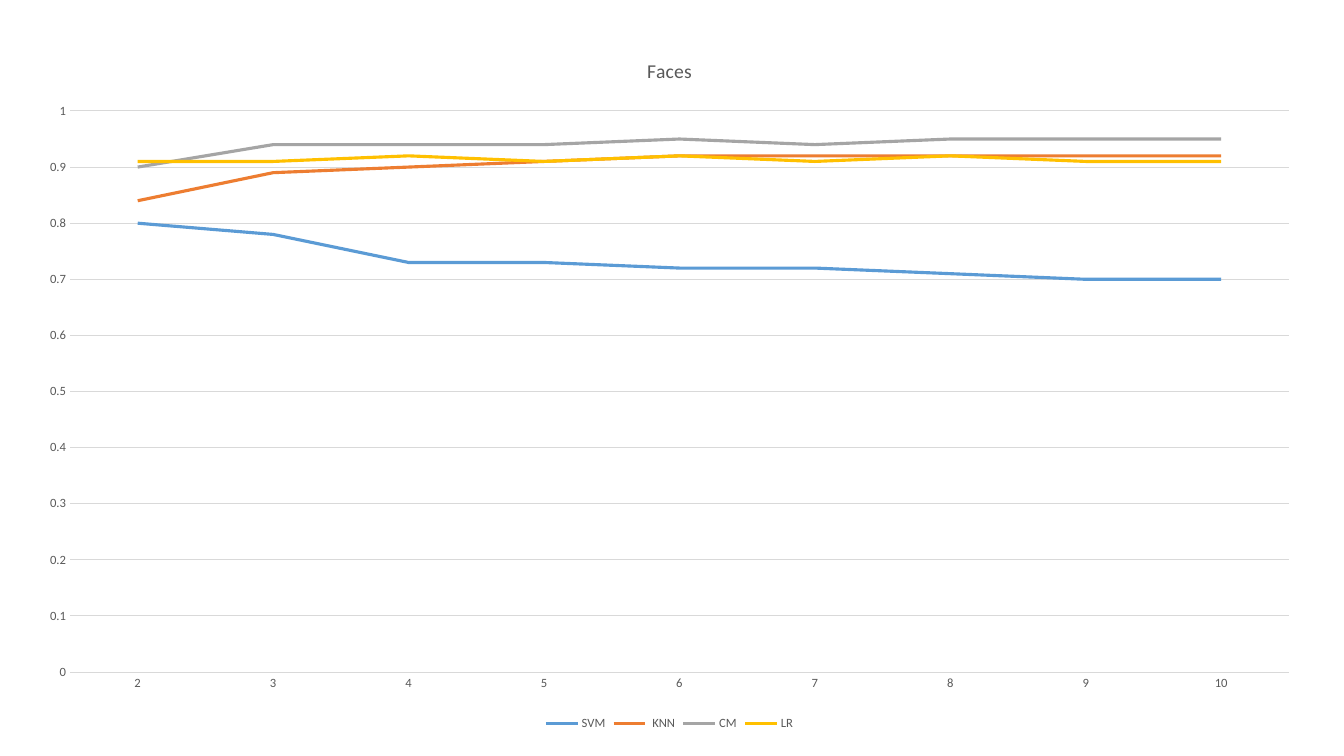
from pptx import Presentation
from pptx import util as u
from pptx.chart import data as cd
from pptx.dml.color import RGBColor
from pptx.enum import chart as ch

GREY = RGBColor(0x59, 0x59, 0x59)
GRID = RGBColor(0xD9, 0xD9, 0xD9)
BLUE = RGBColor(0x5B, 0x9B, 0xD5)
ORANGE = RGBColor(0xED, 0x7D, 0x31)
SILVER = RGBColor(0xA5, 0xA5, 0xA5)
GOLD = RGBColor(0xFF, 0xC0, 0x00)

FOLDS = [str(n) for n in range(2, 11)]
CLASSIFIERS = [
    ("SVM", BLUE, [0.8, 0.78, 0.73, 0.73, 0.72, 0.72, 0.71, 0.7, 0.7]),
    (" KNN", ORANGE, [0.84, 0.89, 0.9, 0.91, 0.92, 0.92, 0.92, 0.92, 0.92]),
    ("CM", SILVER, [0.9, 0.94, 0.94, 0.94, 0.95, 0.94, 0.95, 0.95, 0.95]),
    ("LR", GOLD, [0.91, 0.91, 0.92, 0.91, 0.92, 0.91, 0.92, 0.91, 0.91]),
]


def set_font(font, size=9, color=GREY, name="Calibri"):
    """Format a font."""
    font.size, font.name, font.bold = u.Pt(size), name, False
    font.color.rgb = color


def set_line(line, color, width):
    """Format a line with a colour and a width in points."""
    line.color.rgb = color
    line.width = u.Pt(width)


def add_text(tf, text, **fmt):
    """Write one formatted run into a text frame."""
    r = tf.paragraphs[0].add_run()
    r.text = text
    set_font(r.font, **fmt)


def style_axes(chart):
    """Format both axes and the gridlines."""
    cat, val = chart.category_axis, chart.value_axis
    for axis in (cat, val):
        axis.major_tick_mark = axis.minor_tick_mark = ch.XL_TICK_MARK.NONE
        set_font(axis.tick_labels.font)
    set_line(cat.format.line, GRID, 0.75)
    val.format.line.fill.background()
    val.minimum_scale, val.maximum_scale, val.major_unit = 0, 1, 0.1
    val.has_major_gridlines = True
    set_line(val.major_gridlines.format.line, GRID, 0.75)


def add_accuracy_chart(s, x, y, w, h):
    """Draw the classifier line chart in the given box."""
    data = cd.CategoryChartData(number_format="General")
    data.categories = FOLDS
    for name, _, values in CLASSIFIERS:
        data.add_series(name, values)
    chart = s.shapes.add_chart(ch.XL_CHART_TYPE.LINE, x, y, w, h, data).chart
    set_font(chart.font, size=10)
    chart.has_title = True
    add_text(chart.chart_title.text_frame, "Faces", size=14)
    chart.chart_title.include_in_layout = False
    chart.has_legend = True
    chart.legend.position = ch.XL_LEGEND_POSITION.BOTTOM
    chart.legend.include_in_layout = False
    set_font(chart.legend.font)
    style_axes(chart)
    plot = chart.plots[0]
    plot.vary_by_categories = False
    for series, (_, color, _) in zip(plot.series, CLASSIFIERS):
        series.smooth = False
        series.marker.style = ch.XL_MARKER_STYLE.NONE
        set_line(series.format.line, color, 2.25)


def main():
    """Build the slide and save it."""
    prs = Presentation()
    prs.slide_width, prs.slide_height = u.Inches(13.33), u.Inches(7.5)
    s = prs.slides.add_slide(prs.slide_layouts[6])
    add_accuracy_chart(s, u.Inches(0.24), u.Inches(0.34), u.Inches(12.8), u.Inches(6.95))
    prs.save("out.pptx")


if __name__ == "__main__":
    main()
